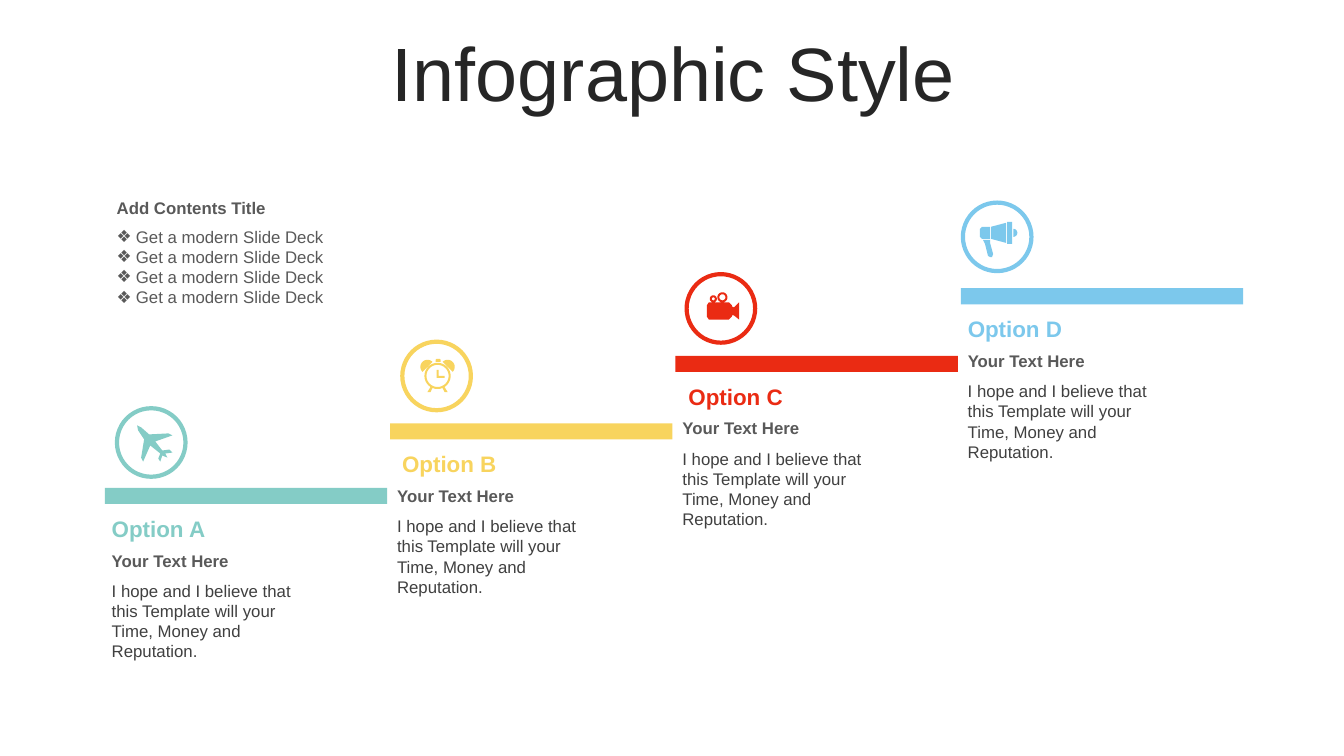
import math
from lxml import etree
from pptx import Presentation, util as u
from pptx.dml.color import RGBColor
from pptx.enum import shapes, text
from pptx.oxml import ns

COLORS = {"title": "262626", "body": "404040", "label": "595959", "white": "FFFFFF",
          "teal": "84CCC6", "yellow": "F8D45E", "red": "EA2B13", "blue": "7CC8EC"}


def arc(cx, cy, radius, start=0, end=360, steps=32):
    """Points along an arc, angles running clockwise from the right."""
    angles = [math.radians(start + (end - start) * i / steps) for i in range(steps + 1)]
    return [(cx + radius * math.cos(a), cy + radius * math.sin(a)) for a in angles]


# Icon outlines, in hundredths of an inch from the ring's centre
PLANE = [[(21, 10), (14, 11), (16, 15), (11, 13), (9, 19), (7, 16), (9, 11), (-1, 3),
          (-8, 19), (-10, 15), (-7, -3), (-13, -12), (-14, -17), (-10, -15), (-2, -8),
          (17, -9), (21, -7), (4, -1), (11, 8), (18, 7)]]
CLOCK = [arc(1, 0, 13), arc(1, 0, 11),
         [(0, -6), (2, -6), (2, 0), (8, 0), (8, 2), (0, 2)],
         [(-4, 12), (-6, 16), (-9, 16), (-6, 11)],
         [(6, 12), (8, 16), (11, 16), (8, 11)],
         arc(-9, -9, 7, 135, 315), arc(11, -9, 7, 225, 405),
         [(-1, -14), (4, -14), (4, -16), (3, -17), (0, -17), (-1, -16)]]
CAMERA = [arc(-7.5, -9.5, 3.5), arc(-7.5, -9.5, 1.5), arc(1.5, -11, 5), arc(1.5, -11, 3),
          [(-14, -3), (-12, -6), (8, -6), (11, -3), (11, -2), (13, -1), (18, -6),
           (18, 11), (13, 7), (11, 7), (11, 8), (8, 11), (-12, 11), (-14, 8)]]
MEGAPHONE = [[(-7, 3), (-7, 6), (-4, 17), (-5, 20), (-7, 20), (-9, 19), (-12, 7), (-14, 3)],
             arc(16, -4, 4, -90, 90),
             [(-15, -10), (-7, -10), (-7, 2), (-15, 2), (-17, 0), (-17, -8)],
             [(9, -14), (9, 6), (-6, 2), (-6, -10)],
             [(10, -15), (15, -15), (15, 7), (10, 7)]]

# Content: name, colour, bar top, name inset, ring position, icon
OPTIONS = [
    ("Option A", "teal", 4.84, -0.03, (1.16, 4.05), PLANE),
    ("Option B", "yellow", 4.20, 0.02, (3.99, 3.39), CLOCK),
    ("Option C", "red", 3.53, 0.03, (6.81, 2.72), CAMERA),
    ("Option D", "blue", 2.86, -0.03, (9.55, 2.01), MEGAPHONE),
]
TITLE = "Infographic Style"
LABEL = "Your Text Here"
BODY = "I hope and I believe that this Template will your Time, Money and Reputation."
LIST_TITLE = "Add Contents Title"
LIST = ["Get a modern Slide Deck"] * 4

# Text formats
HEAD = {"size": u.Pt(54)}
NAME = {"size": u.Pt(16), "bold": True}
STRONG = {"size": u.Pt(12), "bold": True}
PLAIN = {"size": u.Pt(12)}

# Grid: one column per option
LEFT, COLUMN, BAR_WIDTH, BAR_HEIGHT, RING = 1.04, 2.83, 2.8, 0.16, 0.68

deck = Presentation()
deck.slide_width, deck.slide_height = u.Inches(13.33), u.Inches(7.5)
page = deck.slides.add_slide(deck.slide_layouts[6])


def rgb(color):
    return RGBColor.from_string(COLORS[color])


def add_text(lines, place, color, style, bullet=None):
    box = page.shapes.add_textbox(*map(u.Inches, place))
    frame = box.text_frame
    frame.word_wrap = True
    for number, line in enumerate(lines):
        para = frame.paragraphs[0] if number == 0 else frame.add_paragraph()
        if bullet:
            props = para._p.get_or_add_pPr()
            props.set("marL", str(u.Inches(0.19)))
            props.set("indent", str(-u.Inches(0.19)))
            etree.SubElement(props, ns.qn("a:buFont")).set("typeface", "Arial")
            etree.SubElement(props, ns.qn("a:buChar")).set("char", bullet)
        span = para.add_run()
        span.text = line
        span.font.name = "Arial"
        span.font.color.rgb = rgb(color)
        for key, value in style.items():
            setattr(span.font, key, value)
    return frame


def paint(shape, fill, line=None):
    shape.shadow.inherit = False
    shape.fill.solid()
    shape.fill.fore_color.rgb = rgb(fill)
    if line:
        shape.line.color.rgb = rgb(line)
        shape.line.width = u.Pt(3)
    else:
        shape.line.fill.background()


def add_preset(kind, place, fill, line=None):
    paint(page.shapes.add_shape(kind, *map(u.Inches, place)), fill, line)


def add_icon(contours, cx, cy, color):
    outline = None
    for contour in contours:
        points = [(u.Inches(cx + x / 100), u.Inches(cy + y / 100)) for x, y in contour]
        if outline is None:
            outline = page.shapes.build_freeform(*points[0])
        else:
            outline.move_to(*points[0])
        outline.add_line_segments(points[1:], close=True)
    paint(outline.convert_to_shape(), color)


# Title
heading = add_text([TITLE], (0.35, 0.37, 12.66, 0.79), "title", HEAD)
heading.vertical_anchor = text.MSO_ANCHOR.MIDDLE
heading.paragraphs[0].alignment = text.PP_ALIGN.CENTER
heading.paragraphs[0].line_spacing = 0.9

# Rising steps
for step, (name, color, top, inset, (ring_x, ring_y), icon) in enumerate(OPTIONS):
    left = LEFT + step * COLUMN
    add_preset(shapes.MSO_SHAPE.RECTANGLE, (left, top, BAR_WIDTH, BAR_HEIGHT), color)
    add_text([name], (left + inset, top + 0.22, 1.32, 0.37), color, NAME)
    add_text([BODY], (left - 0.03, top + 0.87, 2.1, 0.91), "body", PLAIN)
    add_text([LABEL], (left - 0.03, top + 0.57, 2.08, 0.3), "label", STRONG)
    add_preset(shapes.MSO_SHAPE.OVAL, (ring_x, ring_y, RING, RING), "white", color)
    add_icon(icon, ring_x + RING / 2, ring_y + RING / 2, color)

# Contents list
add_text(LIST, (1.06, 2.2, 2.57, 0.91), "label", PLAIN, bullet="❖")
add_text([LIST_TITLE], (1.06, 1.91, 2.57, 0.3), "label", STRONG)

deck.save("out.pptx")
